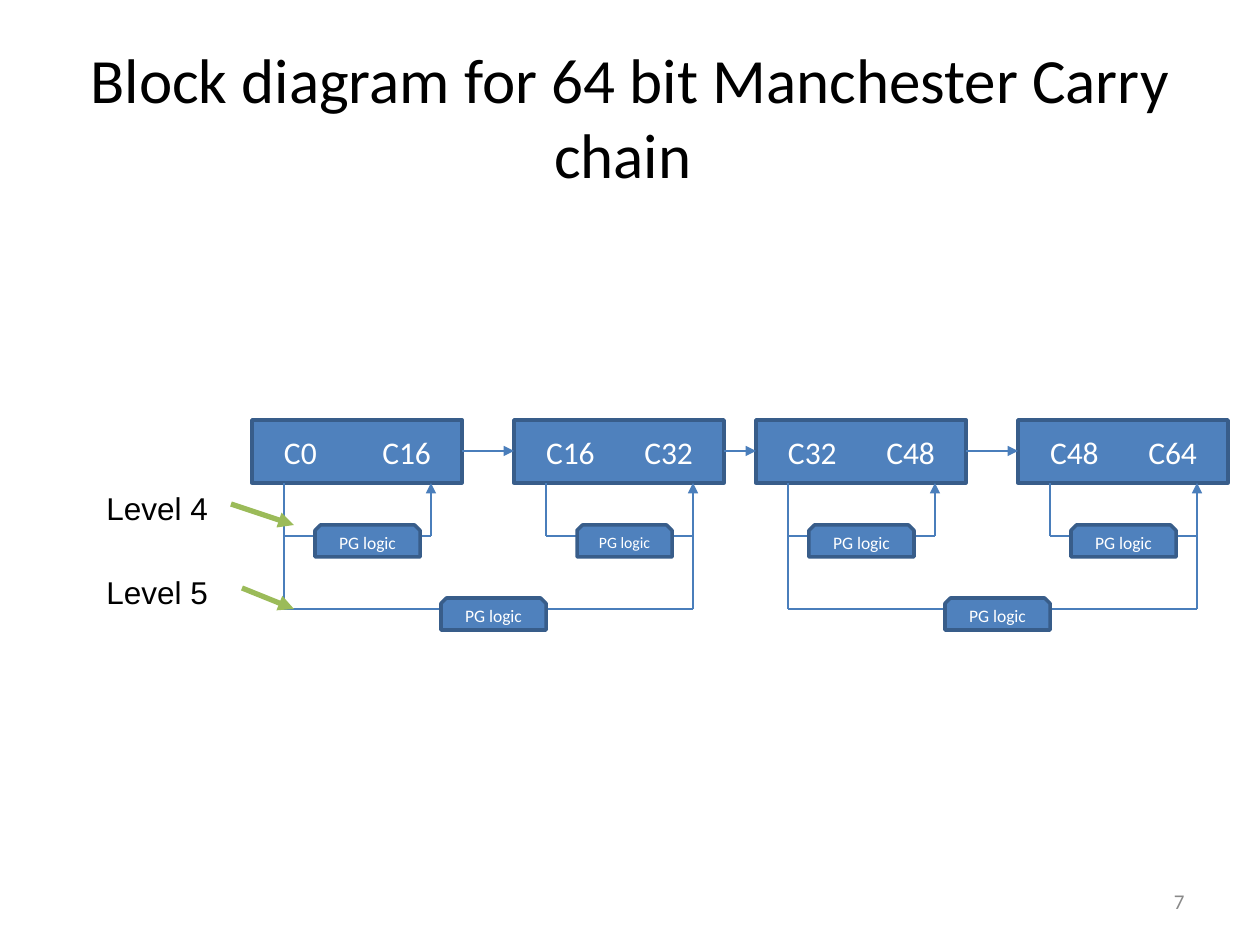
import pptx
import pptx.util
import pptx.dml.color
import pptx.enum.shapes
import pptx.enum.text
import pptx.oxml

SCALE = 914400 / 126
SHAPES = pptx.enum.shapes.MSO_SHAPE
ALIGN = pptx.enum.text.PP_ALIGN
ANCHOR = pptx.enum.text.MSO_ANCHOR

TITLE = "Block diagram for 64 bit Manchester Carry chain "
CARRY_BLOCKS = [
    {"left": 252, "carries": ("C0", "C16"), "logic": (315, 105, 10)},
    {"left": 514, "carries": ("C16", "C32"), "logic": (577, 95, 9)},
    {"left": 756, "carries": ("C32", "C48"), "logic": (809, 105, 10)},
    {"left": 1018, "carries": ("C48", "C64"), "logic": (1071, 105, 10)},
]
LEVELS = [
    ("Level 4", 483, (231, 504, 294, 525)),
    ("Level 5", 567, (242, 588, 294, 609)),
]
BLOCK_TOP, BLOCK_WIDTH, BLOCK_HEIGHT = 420, 210, 63
BLOCK_BOTTOM = BLOCK_TOP + BLOCK_HEIGHT
BLOCK_MIDDLE = BLOCK_TOP + BLOCK_HEIGHT // 2
INPUT_OFFSET, OUTPUT_OFFSET = 32, 179
LEVEL_4_WIRE, LEVEL_5_WIRE = 536, 609
LEVEL_4_LOGIC, LEVEL_5_LOGIC = 525, 598
LEVEL_5_LOGIC_OFFSET = 189
FILL, OUTLINE, WIRE, POINTER = "4F81BD", "385D8A", "4A7EBB", "9BBB59"


def px(value):
    return pptx.util.Emu(round(value * SCALE))


def color(value):
    return pptx.dml.color.RGBColor.from_string(value)


def write(shape, text, size=18, font="Calibri", fill="000000",
          align=ALIGN.LEFT, anchor=ANCHOR.TOP, right_tab=None):
    frame = shape.text_frame
    frame.word_wrap = True
    frame.auto_size = pptx.enum.text.MSO_AUTO_SIZE.NONE
    frame.vertical_anchor = anchor
    paragraph = frame.paragraphs[0]
    paragraph.alignment = align
    if right_tab:
        tabs = pptx.oxml.parse_xml(
            '<a:tabLst xmlns:a="http://schemas.openxmlformats.org/drawingml/2006/main">'
            f'<a:tab pos="{px(right_tab)}" algn="r"/></a:tabLst>')
        paragraph._p.get_or_add_pPr().append(tabs)
    run = paragraph.add_run()
    run.text = text
    run.font.size = pptx.util.Pt(size)
    run.font.name = font
    run.font.color.rgb = color(fill)


def add_box(slide, kind, left, top, width, height):
    shape = slide.shapes.add_shape(kind, px(left), px(top), px(width), px(height))
    shape.shadow.inherit = False
    shape.fill.solid()
    shape.fill.fore_color.rgb = color(FILL)
    shape.line.color.rgb = color(OUTLINE)
    shape.line.width = pptx.util.Pt(2)
    return shape


def add_line(slide, start_x, start_y, end_x, end_y, stroke=WIRE, width=0.75, arrow=False):
    line = slide.shapes.add_connector(
        pptx.enum.shapes.MSO_CONNECTOR.STRAIGHT,
        px(start_x), px(start_y), px(end_x), px(end_y))
    line.line.color.rgb = color(stroke)
    line.line.width = pptx.util.Pt(width)
    if arrow:
        head = pptx.oxml.parse_xml(
            '<a:tailEnd xmlns:a="http://schemas.openxmlformats.org/drawingml/2006/main" type="triangle"/>')
        line.line._get_or_add_ln().append(head)
    line._element.spPr.append(pptx.oxml.parse_xml(
        '<a:effectLst xmlns:a="http://schemas.openxmlformats.org/drawingml/2006/main"/>'))


def add_text(slide, text, left, top, width, height, **text_format):
    box = slide.shapes.add_textbox(px(left), px(top), px(width), px(height))
    write(box, text, **text_format)


def add_logic(slide, left, top, width=105, size=10):
    shape = add_box(slide, SHAPES.SNIP_2_SAME_RECTANGLE, left, top, width, 32)
    write(shape, "PG logic", size=size, fill="FFFFFF", align=ALIGN.CENTER, anchor=ANCHOR.MIDDLE)


def add_carry_block(slide, block):
    left = block["left"]
    shape = add_box(slide, SHAPES.RECTANGLE, left, BLOCK_TOP, BLOCK_WIDTH, BLOCK_HEIGHT)
    shape.text_frame.margin_left = px(INPUT_OFFSET)
    write(shape, "\t".join(block["carries"]), fill="FFFFFF", anchor=ANCHOR.MIDDLE,
          right_tab=OUTPUT_OFFSET - INPUT_OFFSET)
    wire_in, wire_out = left + INPUT_OFFSET, left + OUTPUT_OFFSET
    add_line(slide, wire_in, BLOCK_BOTTOM, wire_in, LEVEL_4_WIRE)
    add_line(slide, wire_out, LEVEL_4_WIRE, wire_in, LEVEL_4_WIRE)
    add_line(slide, wire_out, LEVEL_4_WIRE, wire_out, BLOCK_BOTTOM, arrow=True)
    logic_left, logic_width, logic_size = block["logic"]
    add_logic(slide, logic_left, LEVEL_4_LOGIC, logic_width, logic_size)


def add_level_5(slide, first, second):
    wire_in = first["left"] + INPUT_OFFSET
    wire_out = second["left"] + OUTPUT_OFFSET
    add_line(slide, wire_out, LEVEL_4_WIRE, wire_out, LEVEL_5_WIRE)
    add_line(slide, wire_out, LEVEL_5_WIRE, wire_in, LEVEL_5_WIRE)
    add_line(slide, wire_in, LEVEL_5_WIRE, wire_in, LEVEL_4_WIRE)
    add_logic(slide, first["left"] + LEVEL_5_LOGIC_OFFSET, LEVEL_5_LOGIC)


def main():
    presentation = pptx.Presentation()
    presentation.slide_width, presentation.slide_height = px(1260), px(945)
    slide = presentation.slides.add_slide(presentation.slide_layouts[5])
    title = slide.shapes.title
    title.left, title.top, title.width, title.height = px(63), px(34), px(1134), px(164)
    write(title, TITLE, size=36, align=ALIGN.CENTER, anchor=ANCHOR.MIDDLE)

    for block in CARRY_BLOCKS:
        add_carry_block(slide, block)
    for block, following in zip(CARRY_BLOCKS, CARRY_BLOCKS[1:]):
        add_line(slide, block["left"] + BLOCK_WIDTH, BLOCK_MIDDLE,
                 following["left"], BLOCK_MIDDLE, arrow=True)
    for first, second in zip(CARRY_BLOCKS[::2], CARRY_BLOCKS[1::2]):
        add_level_5(slide, first, second)
    for label, top, pointer in LEVELS:
        add_text(slide, label, 94, top, 136, 50, font="Arial")
        add_line(slide, *pointer, stroke=POINTER, width=3, arrow=True)
    add_text(slide, "7", 903, 876, 294, 50, size=12, fill="898989",
             align=ALIGN.RIGHT, anchor=ANCHOR.MIDDLE)
    presentation.save("out.pptx")


if __name__ == "__main__":
    main()
